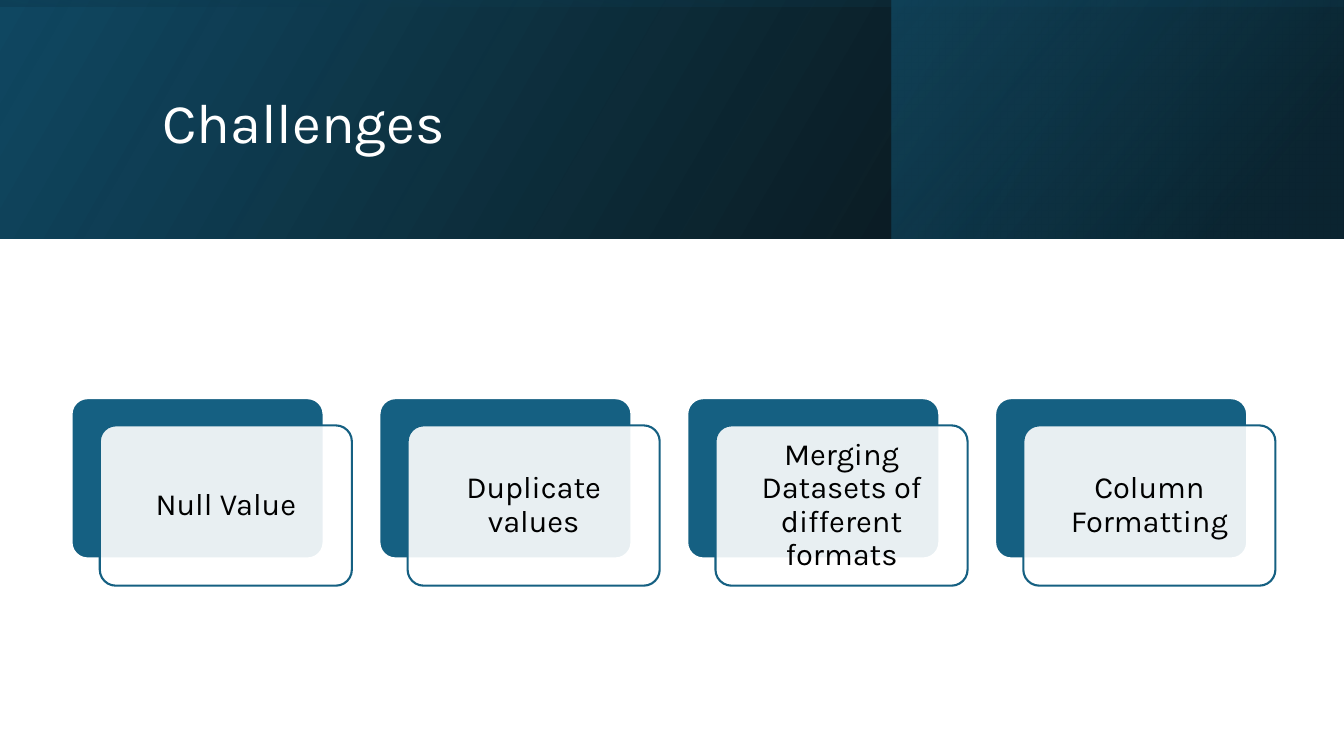
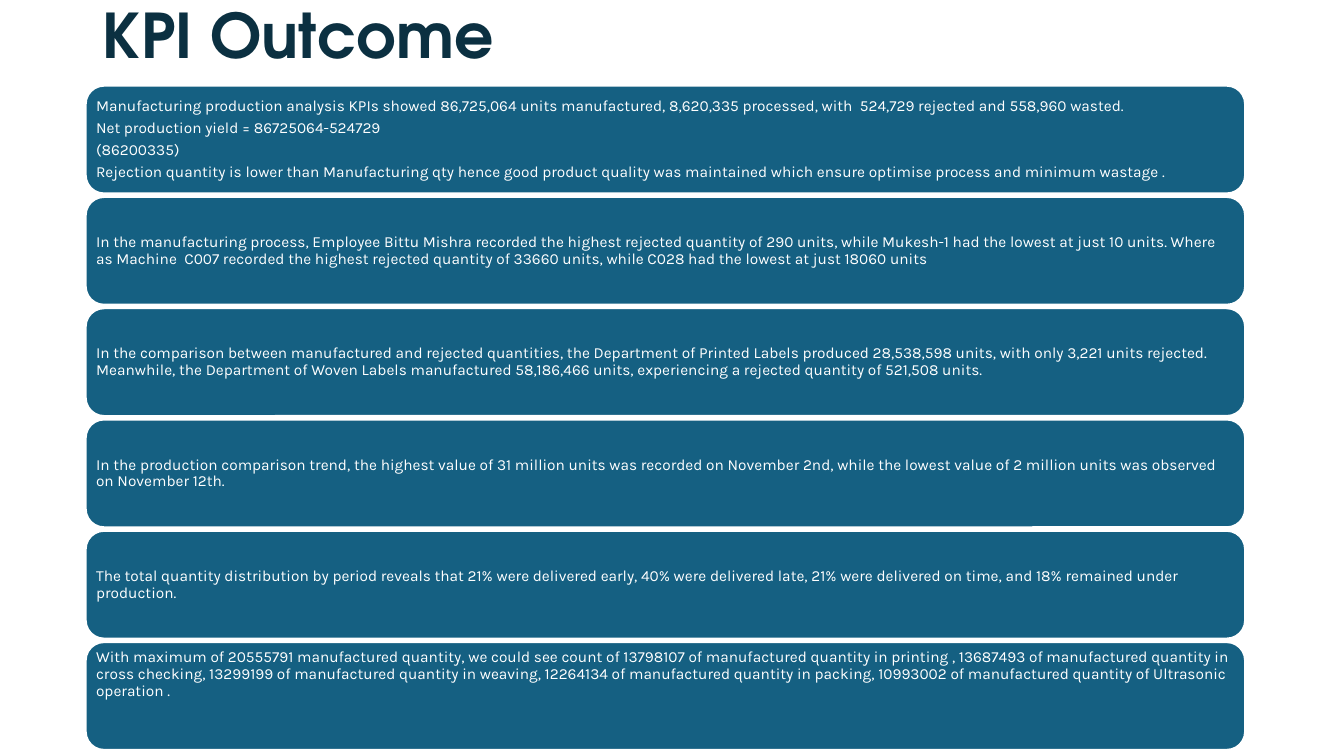
"""Build the challenges and KPI outcome slides."""

from dataclasses import dataclass

from lxml import etree
from pptx import Presentation
from pptx.dml.color import RGBColor
from pptx.enum.shapes import MSO_SHAPE
from pptx.enum.text import MSO_ANCHOR, MSO_AUTO_SIZE, PP_ALIGN
from pptx.oxml import parse_xml
from pptx.oxml.ns import nsdecls, qn
from pptx.util import Inches, Pt

RECT = MSO_SHAPE.RECTANGLE
ROUND = MSO_SHAPE.ROUNDED_RECTANGLE
MIDDLE, TOP = MSO_ANCHOR.MIDDLE, MSO_ANCHOR.TOP
LEFT, CENTER = PP_ALIGN.LEFT, PP_ALIGN.CENTER
NO_FIT = MSO_AUTO_SIZE.NONE
TITLE_ONLY = 5


@dataclass(frozen=True)
class Theme:
    """Colours, fonts and type sizes of the deck."""

    white: str = "FFFFFF"
    black: str = "000000"
    teal: str = "156082"
    deep: str = "104862"
    navy: str = "0B3041"
    body_font: str = "Karla"
    head_font: str = "TeX Gyre Adventor"
    banner_size: float = 40
    head_size: float = 44
    card_size: float = 22
    note_size: float = 11
    border: float = 1.5
    leading: float = 0.9
    after: float = 0.35


T = Theme()


@dataclass(frozen=True)
class Box:
    """A place on the slide in inches."""

    x: float
    y: float
    w: float
    h: float

    def lengths(self) -> tuple:
        """Return left, top, width and height as lengths."""
        return tuple(Inches(v) for v in (self.x, self.y, self.w, self.h))


@dataclass(frozen=True)
class Font:
    """The look of a run."""

    name: str
    size: float
    color: str
    bold: bool = False


@dataclass(frozen=True)
class Stop:
    """A gradient stop with position and opacity in percent."""

    pos: int
    color: str
    alpha: int = 100


@dataclass(frozen=True)
class Band:
    """A mirrored gradient rectangle of the banner."""

    box: Box
    stops: tuple[Stop, ...]
    angle: int
    rotation: int = 0


@dataclass(frozen=True)
class Note:
    """A full-width card of one or more paragraphs."""

    lines: tuple[str, ...]
    anchor: MSO_ANCHOR = MIDDLE
    top_inset: float = 0.05


BANNER_FONT = Font(T.body_font, T.banner_size, T.white)
HEAD_FONT = Font(T.head_font, T.head_size, T.navy, True)
CARD_FONT = Font(T.body_font, T.card_size, T.black)
NOTE_FONT = Font(T.body_font, T.note_size, T.white)

BANDS = (
    Band(Box(0, 0, 13.33, 2.37),
         (Stop(0, T.black, 96), Stop(100, T.deep)), 330),
    Band(Box(8.84, 0, 4.48, 2.37),
         (Stop(19, T.navy, 68), Stop(100, T.teal, 48)), 320),
    Band(Box(5.48, -5.48, 2.37, 13.33),
         (Stop(23, T.deep, 16), Stop(99, T.black, 45)), 350, 270),
)

CHALLENGES = (
    "Null Value",
    "Duplicate values",
    "Merging Datasets of different formats",
    "Column Formatting",
)

NOTES = (
    Note((
        "Manufacturing production analysis KPIs showed 86,725,064 units "
        "manufactured, 8,620,335 processed, with  524,729 rejected and "
        "558,960 wasted.",
        "Net production yield = 86725064-524729",
        "(86200335)",
        "Rejection quantity is lower than Manufacturing qty hence good "
        "product quality was maintained which ensure optimise process and "
        "minimum wastage .",
    )),
    Note((
        "In the manufacturing process, Employee Bittu Mishra recorded the "
        "highest rejected quantity of 290 units, while Mukesh-1 had the "
        "lowest at just 10 units. Where as Machine  C007 recorded the "
        "highest rejected quantity of 33660 units, while C028 had the "
        "lowest at just 18060 units",
    )),
    Note((
        "In the comparison between manufactured and rejected quantities, "
        "the Department of Printed Labels produced 28,538,598 units, with "
        "only 3,221 units rejected. Meanwhile, the Department of Woven "
        "Labels manufactured 58,186,466 units, experiencing a rejected "
        "quantity of 521,508 units.",
    )),
    Note((
        "In the production comparison trend, the highest value of 31 "
        "million units was recorded on November 2nd, while the lowest "
        "value of 2 million units was observed on November 12th.",
    )),
    Note((
        "The total quantity distribution by period reveals that 21% were "
        "delivered early, 40% were delivered late, 21% were delivered on "
        "time, and 18% remained under production.",
    )),
    Note((
        "With maximum of 20555791 manufactured quantity, we could see "
        "count of 13798107 of manufactured quantity in printing , 13687493 "
        "of manufactured quantity in cross checking, 13299199 of "
        "manufactured quantity in weaving, 12264134 of manufactured "
        "quantity in packing, 10993002 of manufactured quantity of "
        "Ultrasonic operation .",
    ), TOP, 0.02),
)


def rgb(color: str) -> RGBColor:
    """Turn a hex string into a colour."""
    return RGBColor.from_string(color)


def spread(first: float, last: float, count: int) -> list[float]:
    """Return evenly spaced positions from first to last."""
    step = (last - first) / (count - 1)
    return [first + i * step for i in range(count)]


def write(tf, lines: tuple[str, ...], font: Font, align, anchor=MIDDLE) -> None:
    """Fill a text frame with one paragraph per line."""
    tf.word_wrap = True
    tf.auto_size = NO_FIT
    tf.vertical_anchor = anchor
    for i, line in enumerate(lines):
        p = tf.add_paragraph() if i else tf.paragraphs[0]
        p.alignment = align
        p.line_spacing = T.leading
        p.space_before = Pt(0)
        p.space_after = Pt(round(font.size * T.after, 1))
        r = p.add_run()
        r.text = line
        r.font.name = font.name
        r.font.size = Pt(font.size)
        r.font.bold = font.bold
        r.font.color.rgb = rgb(font.color)


def add_title(s, text: str, box: Box, font: Font) -> None:
    """Place the title placeholder in front of everything drawn so far."""
    title = s.shapes.title
    title.left, title.top, title.width, title.height = box.lengths()
    write(title.text_frame, (text,), font, LEFT)
    title.text_frame.paragraphs[0].space_after = Pt(0)
    title.element.getparent().append(title.element)


def add_band(s, band: Band) -> None:
    """Draw a mirrored rectangle with a translucent gradient."""
    sp = s.shapes.add_shape(RECT, *band.box.lengths())
    sp.shadow.inherit = False
    sp.line.fill.background()
    sp.rotation = band.rotation
    sp.fill.gradient()
    props = sp.element.spPr
    props.find(qn("a:xfrm")).set("flipH", "1")
    stops = "".join(
        f'<a:gs pos="{g.pos * 1000}"><a:srgbClr val="{g.color}">'
        f'<a:alpha val="{g.alpha * 1000}"/></a:srgbClr></a:gs>'
        for g in band.stops
    )
    props.replace(props.find(qn("a:gradFill")), parse_xml(
        f'<a:gradFill rotWithShape="1" {nsdecls("a")}><a:gsLst>{stops}'
        f'</a:gsLst><a:lin ang="{band.angle * 60000}" scaled="0"/>'
        "</a:gradFill>"
    ))


def add_card(s, box: Box, fill: str, line: str, radius: float, alpha: int = 100):
    """Draw a rounded card and return it."""
    sp = s.shapes.add_shape(ROUND, *box.lengths())
    sp.shadow.inherit = False
    sp.adjustments[0] = radius
    sp.fill.solid()
    sp.fill.fore_color.rgb = rgb(fill)
    sp.line.color.rgb = rgb(line)
    sp.line.width = Pt(T.border)
    if alpha < 100:
        color = sp.element.spPr.find(qn("a:solidFill"))[0]
        etree.SubElement(color, qn("a:alpha")).set("val", str(alpha * 1000))
    return sp


def set_insets(tf, side: float, top: float) -> None:
    """Set the text margins, with the top one on its own."""
    tf.margin_left = tf.margin_right = tf.margin_bottom = Inches(side)
    tf.margin_top = Inches(top)


def build_challenges(prs) -> None:
    """Add the banner slide with its row of layered cards."""
    s = prs.slides.add_slide(prs.slide_layouts[TITLE_ONLY])
    for band in BANDS:
        add_band(s, band)
    add_title(s, "Challenges", Box(1.51, 0.38, 10.63, 1.72), BANNER_FONT)
    for x, text in zip(spread(0.71, 9.87, len(CHALLENGES)), CHALLENGES):
        add_card(s, Box(x, 3.95, 2.5, 1.59), T.teal, T.white, 0.1)
        front = Box(x + 0.28, 4.22, 2.5, 1.59)
        tf = add_card(s, front, T.white, T.teal, 0.1, 90).text_frame
        set_insets(tf, 0.09, 0.09)
        write(tf, (text,), CARD_FONT, CENTER)


def build_outcome(prs) -> None:
    """Add the KPI slide with its stack of notes."""
    s = prs.slides.add_slide(prs.slide_layouts[TITLE_ONLY])
    add_title(s, "KPI Outcome", Box(0.92, -0.33, 11.5, 1.43), HEAD_FONT)
    for y, note in zip(spread(0.85, 6.37, len(NOTES)), NOTES):
        box = Box(0.85, y, 11.5, 1.07)
        tf = add_card(s, box, T.teal, T.white, 0.17).text_frame
        set_insets(tf, 0.05, note.top_inset)
        write(tf, note.lines, NOTE_FONT, LEFT, note.anchor)


def main() -> None:
    """Build and save the deck."""
    prs = Presentation()
    prs.slide_width, prs.slide_height = Inches(13.33), Inches(7.5)
    build_challenges(prs)
    build_outcome(prs)
    prs.save("out.pptx")


if __name__ == "__main__":
    main()
